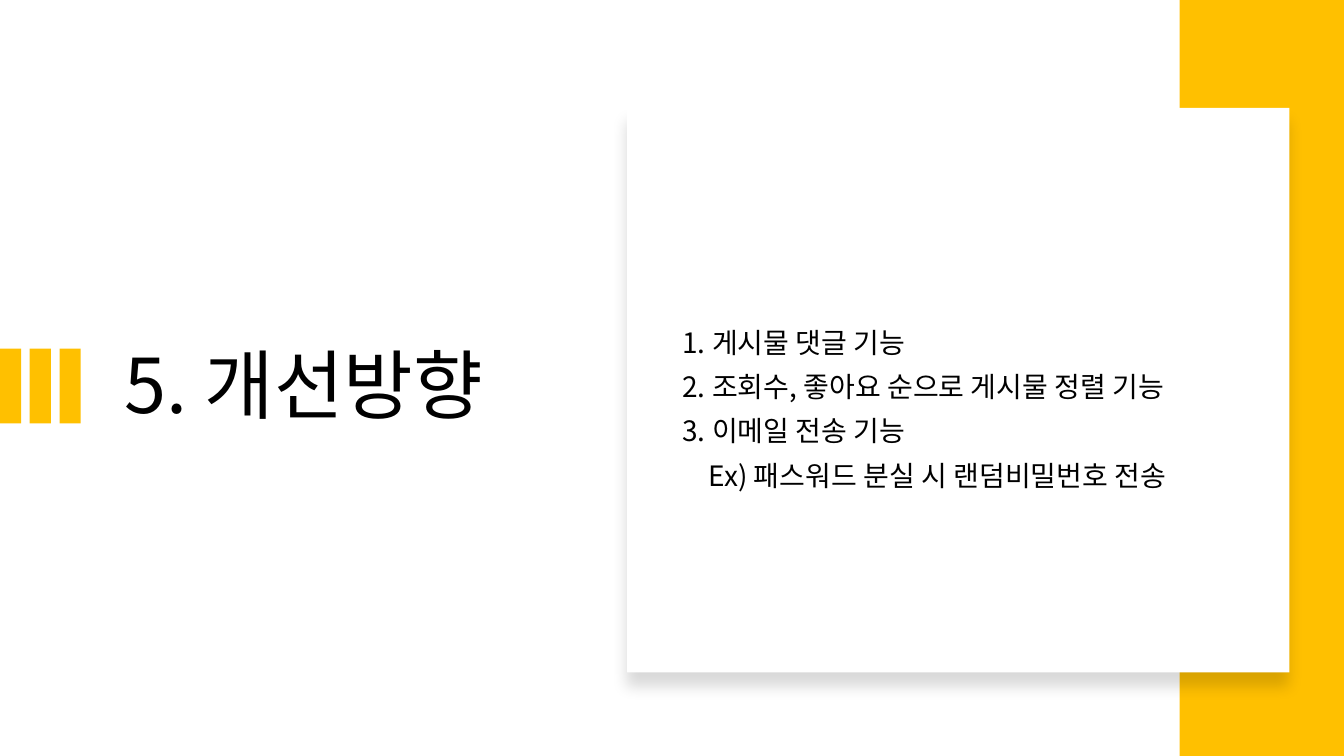
from dataclasses import dataclass

from lxml import etree
from pptx import Presentation
from pptx.dml.color import RGBColor
from pptx.enum.shapes import MSO_SHAPE
from pptx.enum.text import MSO_ANCHOR
from pptx.oxml import parse_xml
from pptx.oxml.ns import nsdecls, qn
from pptx.shapes.autoshape import Shape
from pptx.slide import Slide
from pptx.util import Inches, Pt

RECT = MSO_SHAPE.RECTANGLE
MIDDLE = MSO_ANCHOR.MIDDLE
FONT = "Noto Sans CJK KR"
COLORS = {"accent": "FFC000", "card": "FFFFFF", "text": "000000"}
BAR_COUNT, BAR_STEP = 3, 0.295


@dataclass
class Box:
    """A place on the slide, in inches."""
    left: float
    top: float
    width: float
    height: float

    def lengths(self) -> list[Inches]:
        """Return the four lengths in the order python-pptx takes them."""
        return [Inches(v) for v in (self.left, self.top, self.width, self.height)]


@dataclass
class Line:
    """One paragraph and its left indent in inches."""
    text: str
    indent: float = 0


IMPROVEMENTS = [
    Line("1. 게시물 댓글 기능"),
    Line("2. 조회수, 좋아요 순으로 게시물 정렬 기능"),
    Line("3. 이메일 전송 기능"),
    Line("Ex) 패스워드 분실 시 랜덤비밀번호 전송", 0.26),
]


def add_rect(s: Slide, box: Box, color: str) -> Shape:
    """Add a plain filled rectangle."""
    sp = s.shapes.add_shape(RECT, *box.lengths())
    sp.shadow.inherit = False
    sp.fill.solid()
    sp.fill.fore_color.rgb = RGBColor.from_string(COLORS[color])
    sp.line.fill.background()
    return sp


def add_soft_shadow(sp: Shape) -> None:
    """Give the shape a soft shadow that falls downwards."""
    effects = sp._element.spPr.find(qn("a:effectLst"))
    effects.append(parse_xml(
        f'<a:outerShdw {nsdecls("a")} blurRad="{Pt(11)}" dist="{Pt(10)}" '
        'dir="5400000" algn="t" rotWithShape="0">'
        '<a:srgbClr val="000000"><a:alpha val="15000"/></a:srgbClr></a:outerShdw>'))


def add_text(s: Slide, box: Box, lines: list[Line], size: int, before: int = 0) -> None:
    """Add a vertically centred text box."""
    tf = s.shapes.add_textbox(*box.lengths()).text_frame
    tf.word_wrap = True
    tf.vertical_anchor = MIDDLE
    for i, line in enumerate(lines):
        p = tf.add_paragraph() if i else tf.paragraphs[0]
        p.line_spacing = 0.9
        p.space_before = Pt(before)
        if line.indent:
            p._p.get_or_add_pPr().set("marL", str(Inches(line.indent)))
        r = p.add_run()
        r.text = line.text
        r.font.size = Pt(size)
        r.font.name = FONT
        r.font.color.rgb = RGBColor.from_string(COLORS["text"])
        etree.SubElement(r._r.get_or_add_rPr(), qn("a:ea")).set("typeface", FONT)


def main() -> None:
    """Build the slide and save it."""
    prs = Presentation()
    prs.slide_width, prs.slide_height = Inches(13.33), Inches(7.5)
    s = prs.slides.add_slide(prs.slide_layouts[6])
    add_text(s, Box(1.14, 1.46, 4.26, 4.79), [Line("5. 개선방향")], 54)
    for i in range(BAR_COUNT):
        add_rect(s, Box(i * BAR_STEP, 3.46, 0.21, 0.74), "accent")
    add_rect(s, Box(11.7, 0, 1.63, 7.5), "accent")
    add_soft_shadow(add_rect(s, Box(6.22, 1.07, 6.57, 5.6), "card"))
    add_text(s, Box(6.67, 1.9, 5.75, 4.35), IMPROVEMENTS, 20, 10)
    prs.save("out.pptx")


if __name__ == "__main__":
    main()
